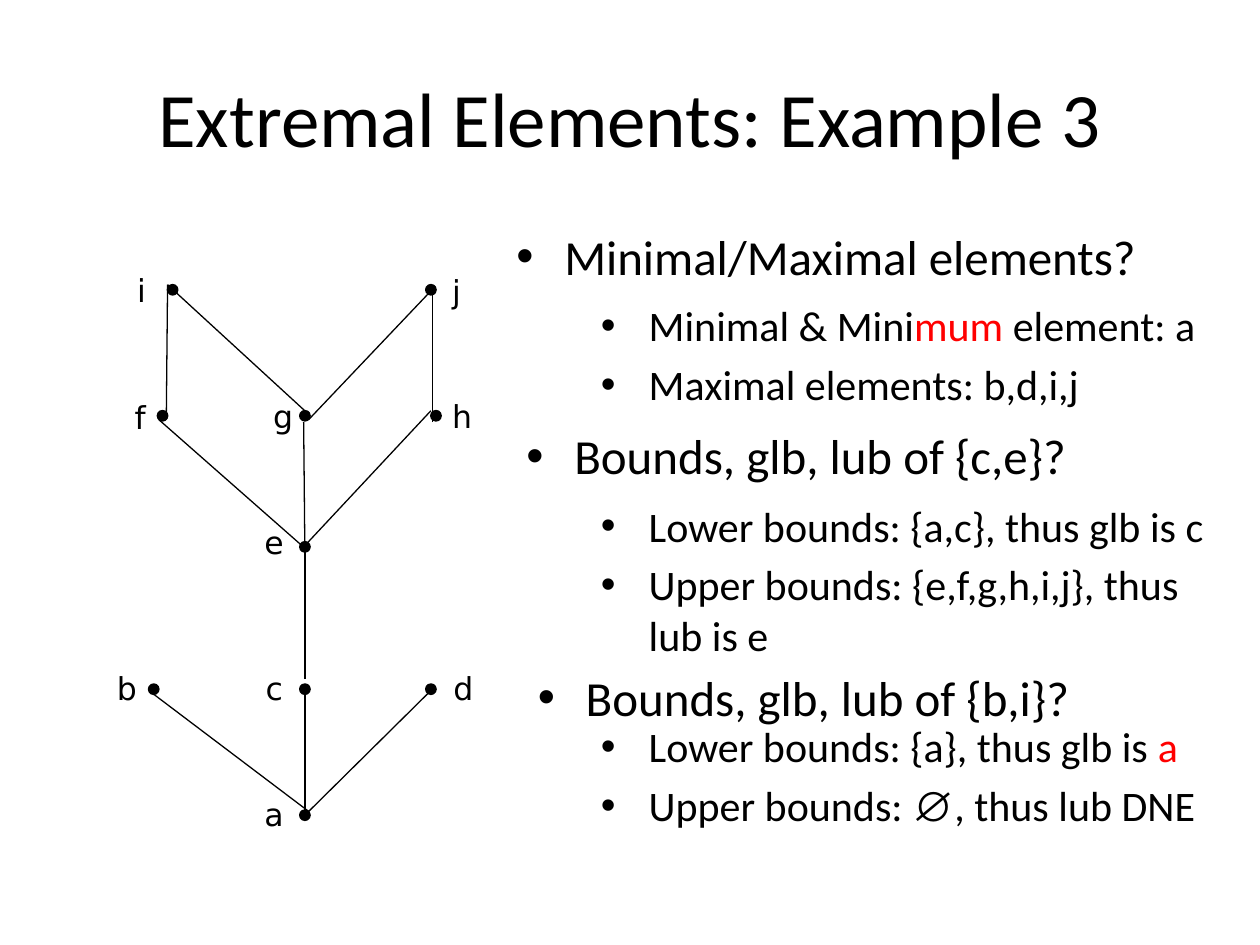
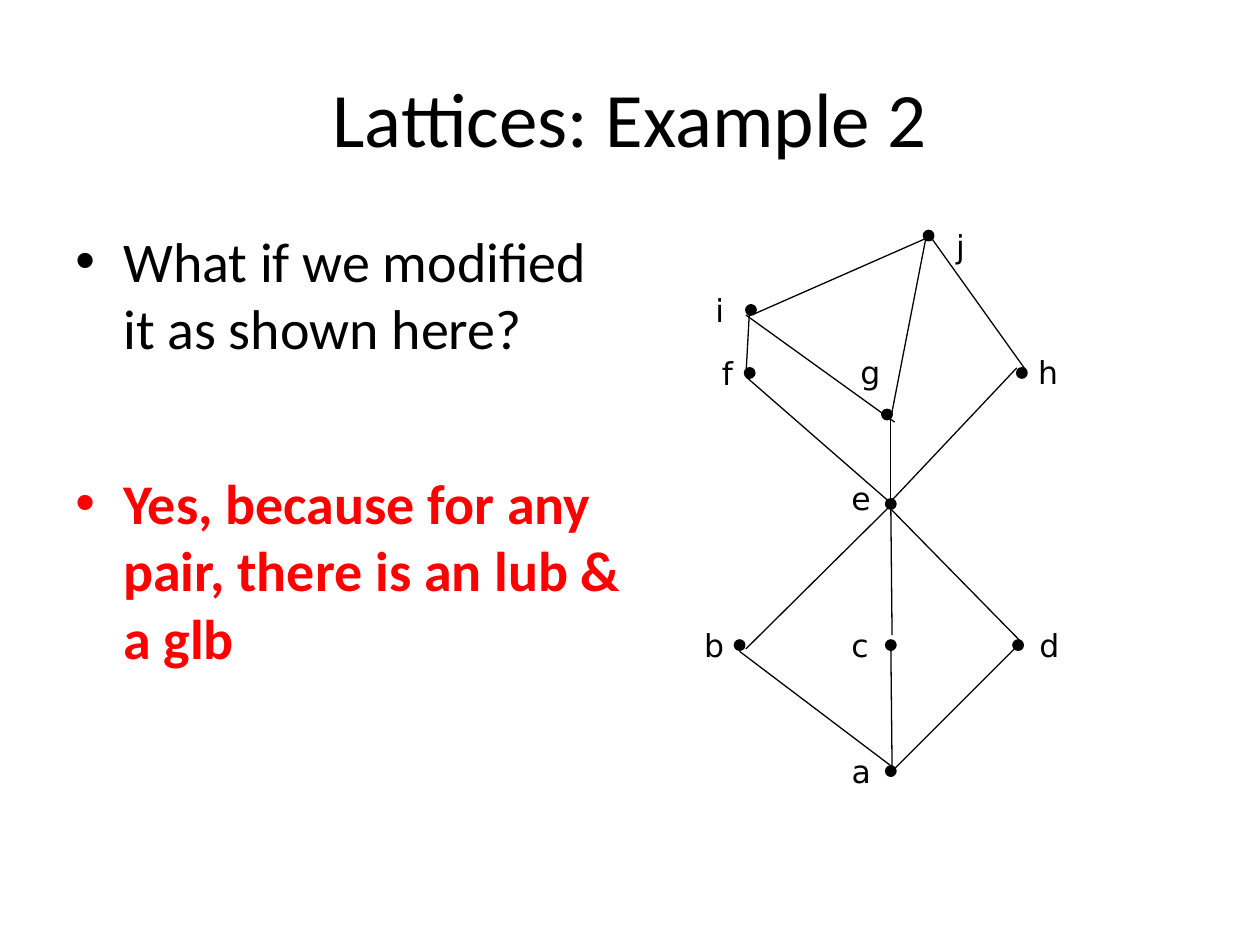
import lxml.etree
import pptx
import pptx.dml.color
import pptx.enum.shapes
import pptx.enum.text
import pptx.oxml.ns
import pptx.util

COLOURS = {"ink": "000000", "accent": "FF0000"}
COLUMNS, ROWS = 100, 75
DOT = 0.8
LABEL_HEIGHT = 4
LABEL_WIDTHS = {"a": 3.5, "b": 3.3, "c": 3.3, "d": 3.5, "e": 3.4,
                "f": 2.8, "g": 3.5, "h": 3.5, "i": 2.6, "j": 2.8}
LEVEL_INDENTS = (0.38, 0.88)
HANGING = 0.38

EXTREMAL_NODES = {
    "a": ((23.8, 64.3), (20, 62.6)),
    "b": ((11.8, 54.3), (8.3, 52.6)),
    "c": ((23.8, 54.3), (20.1, 52.6)),
    "d": ((33.8, 54.3), (35, 52.6)),
    "e": ((23.8, 43), (20, 41)),
    "f": ((12.5, 32.6), (9.7, 31.1)),
    "g": ((23.8, 32.6), (20.7, 31)),
    "h": ((34.2, 32.6), (34.9, 31)),
    "i": ((13.3, 22.6), (9.9, 21)),
    "j": ((33.8, 22.6), (34.9, 21.1)),
}
EXTREMAL_EDGES = {
    "ab": ((24.5, 64.4), (12.2, 55.1)),
    "ac": ((24.2, 64.3), (24.2, 54.3)),
    "ad": ((24.5, 64.4), (34, 55)),
    "ce": ((24.2, 53.9), (24.2, 43.5)),
    "ef": ((24.3, 43.6), (12.6, 33.3)),
    "eg": ((24.2, 43.9), (24.1, 33.5)),
    "eh": ((24.2, 43.3), (34.2, 32.6)),
    "fi": ((13.2, 33.3), (13.3, 22.6)),
    "gi": ((24.3, 32.7), (13.3, 22.6)),
    "gj": ((24.5, 33.3), (34, 23.3)),
    "hj": ((34.3, 33.5), (34.3, 22.6)),
}
LATTICE_NODES = {
    "a": ((70.3, 60.8), (66.6, 59.2)),
    "b": ((58.3, 50.8), (54.9, 49.2)),
    "c": ((70.3, 50.8), (66.6, 49.2)),
    "d": ((80.4, 50.8), (81.5, 49.2)),
    "e": ((70.3, 39.6), (66.6, 37.5)),
    "f": ((59.1, 29.2), (56.3, 27.6)),
    "g": ((70, 32.5), (67.3, 27.5)),
    "h": ((80.7, 29.2), (81.4, 27.5)),
    "i": ((59.2, 24.2), (55.8, 22.6)),
    "j": ((73.3, 18.3), (74.9, 17.5)),
}
LATTICE_EDGES = {
    "ab": ((71, 61), (58.7, 51.7)),
    "ac": ((70.8, 60.8), (70.7, 50.8)),
    "ad": ((71, 61), (80.5, 51.5)),
    "be": ((59.2, 51.5), (70.5, 40.3)),
    "ce": ((70.8, 50.4), (70.7, 40)),
    "de": ((81.1, 51), (70.7, 40.4)),
    "ef": ((70.9, 40.1), (59.2, 29.9)),
    "eg": ((70.7, 40.4), (70.7, 33.2)),
    "eh": ((70.7, 39.8), (80.7, 29.2)),
    "fi": ((59.2, 29.9), (59.5, 24.3)),
    "gi": ((71, 33.5), (59.2, 25)),
    "gj": ((70.7, 33.2), (73.6, 18.3)),
    "hj": ((81.5, 29.5), (74, 19)),
    "ij": ((59.9, 24.9), (74, 18.7)),
}


class SlideWriter:
    font = "Calibri"
    label_font = "DejaVu Sans"

    def __init__(self):
        self.deck = pptx.Presentation()
        self.deck.slide_width = pptx.util.Inches(10)
        self.deck.slide_height = pptx.util.Inches(7.5)
        self.slide = None

    def column(self, count):
        return round(self.deck.slide_width * count / COLUMNS)

    def row(self, count):
        return round(self.deck.slide_height * count / ROWS)

    def place(self, left, top, width, height):
        return self.column(left), self.row(top), self.column(width), self.row(height)

    def colour(self, name):
        return pptx.dml.color.RGBColor.from_string(COLOURS[name])

    def new_slide(self, title):
        self.slide = self.deck.slides.add_slide(self.deck.slide_layouts[6])
        box = self.text_box(5, 3, 90, 12.5)
        box.vertical_anchor = pptx.enum.text.MSO_ANCHOR.MIDDLE
        para = box.paragraphs[0]
        para.alignment = pptx.enum.text.PP_ALIGN.CENTER
        self.span(para, title, 44)

    def text_box(self, left, top, width, height):
        box = self.slide.shapes.add_textbox(*self.place(left, top, width, height)).text_frame
        box.word_wrap = True
        return box

    def span(self, para, text, size, colour="ink", font=None, bold=False):
        span = para.add_run()
        span.text = text
        span.font.size = pptx.util.Pt(size)
        span.font.name = font or self.font
        span.font.bold = bold
        span.font.color.rgb = self.colour(colour)

    def bullets(self, area, size, paragraphs, level=0, bullet="ink", bold=False):
        box = self.text_box(*area)
        for index, spans in enumerate(paragraphs):
            para = box.add_paragraph() if index else box.paragraphs[0]
            para.level = level
            para.space_before = pptx.util.Pt(size * 0.2)
            self.bullet_mark(para, level, bullet)
            for text, *style in spans:
                self.span(para, text, size, *style, bold=bold)

    def bullet_mark(self, para, level, colour):
        qualified = pptx.oxml.ns.qn
        properties = para._p.get_or_add_pPr()
        properties.set("marL", str(pptx.util.Inches(LEVEL_INDENTS[level])))
        properties.set("indent", str(-pptx.util.Inches(HANGING)))
        tint = lxml.etree.SubElement(properties, qualified("a:buClr"))
        lxml.etree.SubElement(tint, qualified("a:srgbClr"), val=COLOURS[colour])
        lxml.etree.SubElement(properties, qualified("a:buFont"), typeface="Arial")
        lxml.etree.SubElement(properties, qualified("a:buChar"), char="•")

    def edge(self, start, end):
        line = self.slide.shapes.add_connector(
            pptx.enum.shapes.MSO_CONNECTOR.STRAIGHT,
            self.column(start[0]), self.row(start[1]),
            self.column(end[0]), self.row(end[1]))
        line.line.color.rgb = self.colour("ink")
        line.line.width = pptx.util.Pt(0.75)
        lxml.etree.SubElement(line._element.spPr, pptx.oxml.ns.qn("a:effectLst"))

    def dot(self, left, top):
        dot = self.slide.shapes.add_shape(
            pptx.enum.shapes.MSO_SHAPE.OVAL, *self.place(left, top, DOT, DOT))
        dot.shadow.inherit = False
        dot.fill.solid()
        dot.fill.fore_color.rgb = self.colour("ink")
        dot.line.color.rgb = self.colour("ink")
        dot.line.width = pptx.util.Pt(1)

    def label(self, name, left, top):
        box = self.text_box(left, top, LABEL_WIDTHS[name], LABEL_HEIGHT)
        box.word_wrap = False
        box.auto_size = pptx.enum.text.MSO_AUTO_SIZE.SHAPE_TO_FIT_TEXT
        self.span(box.paragraphs[0], name, 18, font=self.label_font)

    def hasse_diagram(self, nodes, edges):
        for start, end in edges.values():
            self.edge(start, end)
        for name, (dot, label) in nodes.items():
            self.dot(*dot)
            self.label(name, *label)


def extremal_elements(writer):
    writer.new_slide("Extremal Elements: Example 3")
    writer.hasse_diagram(EXTREMAL_NODES, EXTREMAL_EDGES)
    questions = [
        (40, 17.5, "Minimal/Maximal elements?"),
        (40.8, 33.3, "Bounds, glb, lub of {c,e}?"),
        (41.7, 52.5, "Bounds, glb, lub of {b,i}?"),
    ]
    for left, top, text in questions:
        writer.bullets((left, top, 57.5, 6.7), 28, [[(text,)]])
    answers = [
        (23.3, 10, [
            [("Minimal & Mini",), ("mum", "accent"), (" element: a",)],
            [("Maximal elements: b,d,i,j",)]]),
        (39.2, 14.2, [
            [("Lower bounds: {a,c}, thus glb is c",)],
            [("Upper bounds: {e,f,g,h,i,j}, thus lub is e",)]]),
        (56.7, 10.8, [
            [("Lower bounds: {a}, thus glb is ",), ("a", "accent")],
            [("Upper bounds: ",), ("∅", "ink", "Arial"), (", thus lub DNE",)]]),
    ]
    for top, height, paragraphs in answers:
        writer.bullets((41.7, top, 57.5, height), 24, paragraphs, level=1)


def lattices(writer):
    writer.new_slide("Lattices: Example 2")
    writer.bullets((5, 17.5, 45.8, 15), 32, [[("What if we modified it as shown here?",)]])
    writer.bullets((5, 36.7, 45.8, 15), 32,
                   [[("Yes, because for any pair, there is an lub & a glb", "accent")]],
                   bullet="accent", bold=True)
    writer.hasse_diagram(LATTICE_NODES, LATTICE_EDGES)


def main():
    writer = SlideWriter()
    extremal_elements(writer)
    lattices(writer)
    writer.deck.save("out.pptx")


if __name__ == "__main__":
    main()
